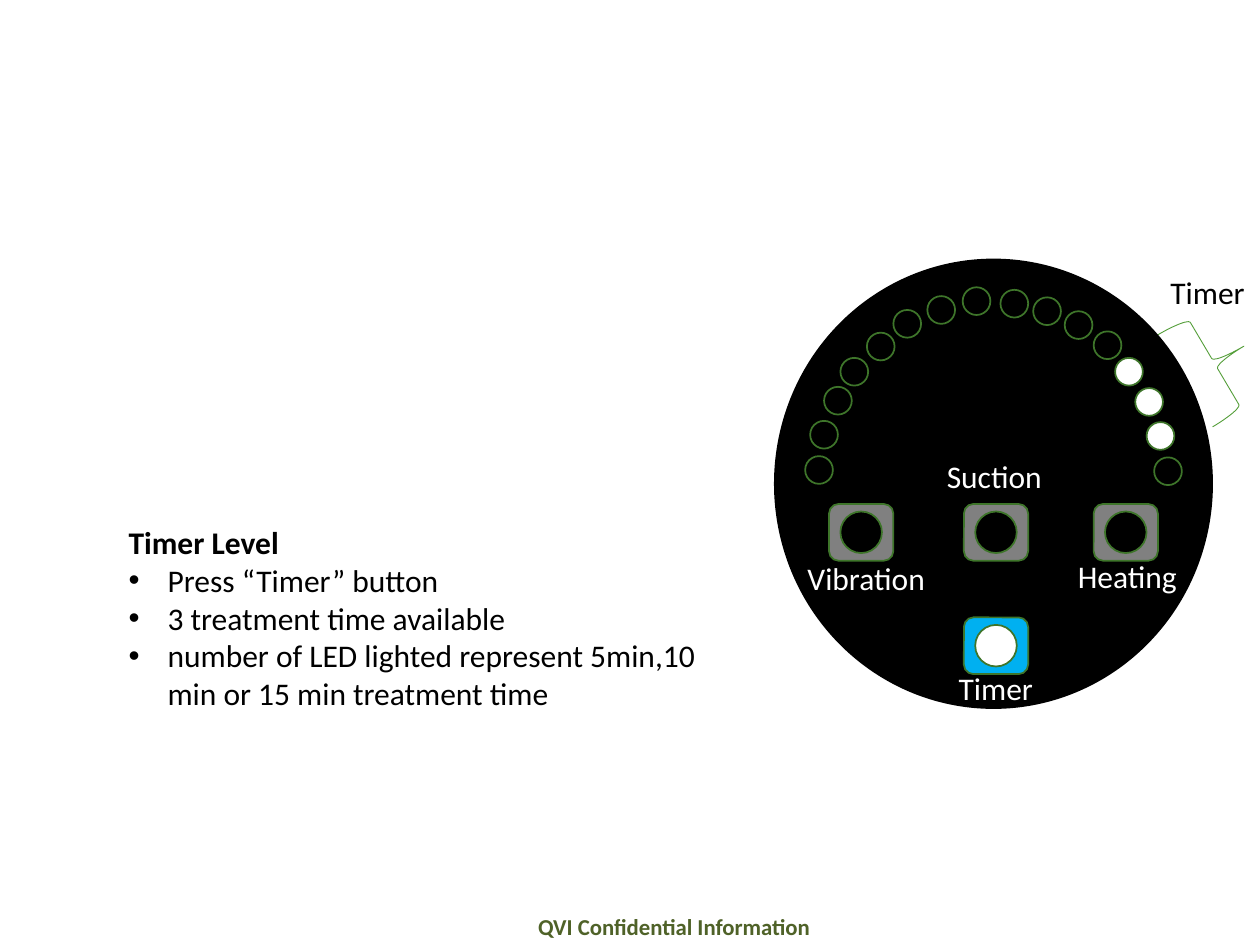
from typing import NamedTuple

from pptx import Presentation
from pptx.dml.color import RGBColor
from pptx.enum.shapes import MSO_SHAPE as Kind
from pptx.enum.text import MSO_ANCHOR as Anchor, MSO_AUTO_SIZE as Fit
from pptx.oxml.ns import qn
from pptx.util import Inches, Pt


class Theme:
    """Colours, font and type sizes of the slide."""
    black = RGBColor(0, 0, 0)
    white = RGBColor(255, 255, 255)
    gray = RGBColor(0x80, 0x80, 0x80)
    blue = RGBColor(0, 0xB0, 0xF0)
    rim = RGBColor(0x3E, 0x75, 0x2A)
    brace = RGBColor(0x54, 0x9E, 0x39)
    olive = RGBColor(0x4F, 0x62, 0x28)
    font = "Calibri"
    body = 18
    foot = 13


class Box(NamedTuple):
    """Left, top, width and height in inches."""
    left: float
    top: float
    width: float
    height: float


class Button(NamedTuple):
    """A button of the panel with its caption."""
    text: str
    left: float
    top: float
    label: Box
    lit: bool = False


LED = 0.22
KNOB = 0.33
LEDS = [
    (6.39, 3.62), (6.43, 3.34), (6.54, 3.07), (6.67, 2.84), (6.88, 2.64),
    (7.09, 2.46), (7.36, 2.35), (7.64, 2.28), (7.94, 2.3), (8.2, 2.36),
    (8.45, 2.47), (8.68, 2.63), (8.85, 2.84), (9.01, 3.08), (9.1, 3.35),
    (9.16, 3.63),
]
LIT = range(12, 15)
BUTTONS = [
    Button("Vibration", 6.58, 4, Box(6.31, 4.39, 1.26, 0.4)),
    Button(" Suction", 7.65, 4, Box(7.36, 3.58, 1.26, 0.4)),
    Button(" Heating", 8.68, 4, Box(8.4, 4.37, 1.26, 0.4)),
    Button("Timer", 7.65, 4.9, Box(7.51, 5.26, 1.26, 0.4), True),
]
STEPS = [
    "Press “Timer” button",
    "3 treatment time available",
    "number of LED lighted represent 5min,10 min or 15 min treatment time",
]


def place(item, box: Box) -> None:
    """Move and size an item."""
    item.left, item.top, item.width, item.height = map(Inches, box)


def style(para, color: RGBColor, size: int = Theme.body, bold: bool = False) -> None:
    """Set the font of a paragraph."""
    font = para.font
    font.name, font.size, font.bold = Theme.font, Pt(size), bold
    font.color.rgb = color


def draw(slide, kind: Kind, box: Box, fill=None, line=Theme.rim, width: float = 1):
    """Add a preset shape; without a fill it stays open."""
    shape = slide.shapes.add_shape(kind, *map(Inches, box))
    shape.shadow.inherit = False
    if fill is None:
        shape.fill.background()
    else:
        shape.fill.solid()
        shape.fill.fore_color.rgb = fill
    shape.line.color.rgb = line
    shape.line.width = Pt(width)
    return shape


def label(slide, text: str, box: Box, color: RGBColor, size: int = Theme.body,
          bold: bool = False):
    """Add a one-line text box and return its frame."""
    frame = slide.shapes.add_textbox(*map(Inches, box)).text_frame
    frame.word_wrap = True
    para = frame.paragraphs[0]
    para.text = text
    style(para, color, size, bold)
    return frame


def panel(slide) -> None:
    """Draw the round panel with its LEDs and buttons."""
    draw(slide, Kind.OVAL, Box(6.15, 2.06, 3.47, 3.56), Theme.black, Theme.black)
    for i, (left, top) in enumerate(LEDS):
        fill = Theme.white if i in LIT else Theme.black
        draw(slide, Kind.OVAL, Box(left, top, LED, LED), fill)
    for b in BUTTONS:
        base, knob = (Theme.blue, Theme.white) if b.lit else (Theme.gray, Theme.black)
        draw(slide, Kind.ROUNDED_RECTANGLE, Box(b.left, b.top, 0.51, 0.45), base)
        draw(slide, Kind.OVAL, Box(b.left + 0.09, b.top + 0.06, KNOB, KNOB), knob)
        label(slide, b.text, b.label, Theme.white)


def guide(body) -> None:
    """Fill the body placeholder with the heading and its steps."""
    place(body, Box(0.92, 4.1, 4.86, 1.92))
    frame = body.text_frame
    frame.auto_size = Fit.NONE
    frame.vertical_anchor = Anchor.TOP
    frame.text = "\n".join(["Timer Level", *STEPS])
    for i, para in enumerate(frame.paragraphs):
        style(para, Theme.black, bold=i == 0)
        para.space_before = Pt(0)
        props = para._p.get_or_add_pPr()
        indent = Inches(0.31) if i else 0
        props.set("marL", str(indent))
        props.set("indent", str(-indent))
        if i:
            bullet = props.makeelement(qn("a:buChar"), {"char": "•"})
        else:
            bullet = props.makeelement(qn("a:buNone"), {})
        props.insert_element_before(bullet, "a:tabLst", "a:defRPr", "a:extLst")


def main() -> None:
    """Build and save the slide."""
    deck = Presentation()
    deck.slide_width, deck.slide_height = Inches(10), Inches(7.5)
    slide = deck.slides.add_slide(deck.slide_layouts[1])
    title = slide.shapes.title.element
    title.getparent().remove(title)

    foot = label(slide, "QVI Confidential Information", Box(4.23, 7.2, 2.25, 0.3),
                 Theme.olive, Theme.foot, True)
    foot.word_wrap = False
    foot.vertical_anchor = Anchor.MIDDLE
    foot.margin_left = foot.margin_right = Inches(0.04)
    foot.margin_top = foot.margin_bottom = Inches(0.04)

    panel(slide)
    guide(slide.placeholders[1])
    brace = draw(slide, Kind.RIGHT_BRACE, Box(9.37, 2.46, 0.54, 0.85),
                 line=Theme.brace, width=0.5)
    brace.rotation = 329.4
    label(slide, "Timer", Box(9.19, 2.12, 1.92, 0.44), Theme.black)
    deck.save("out.pptx")


main()
